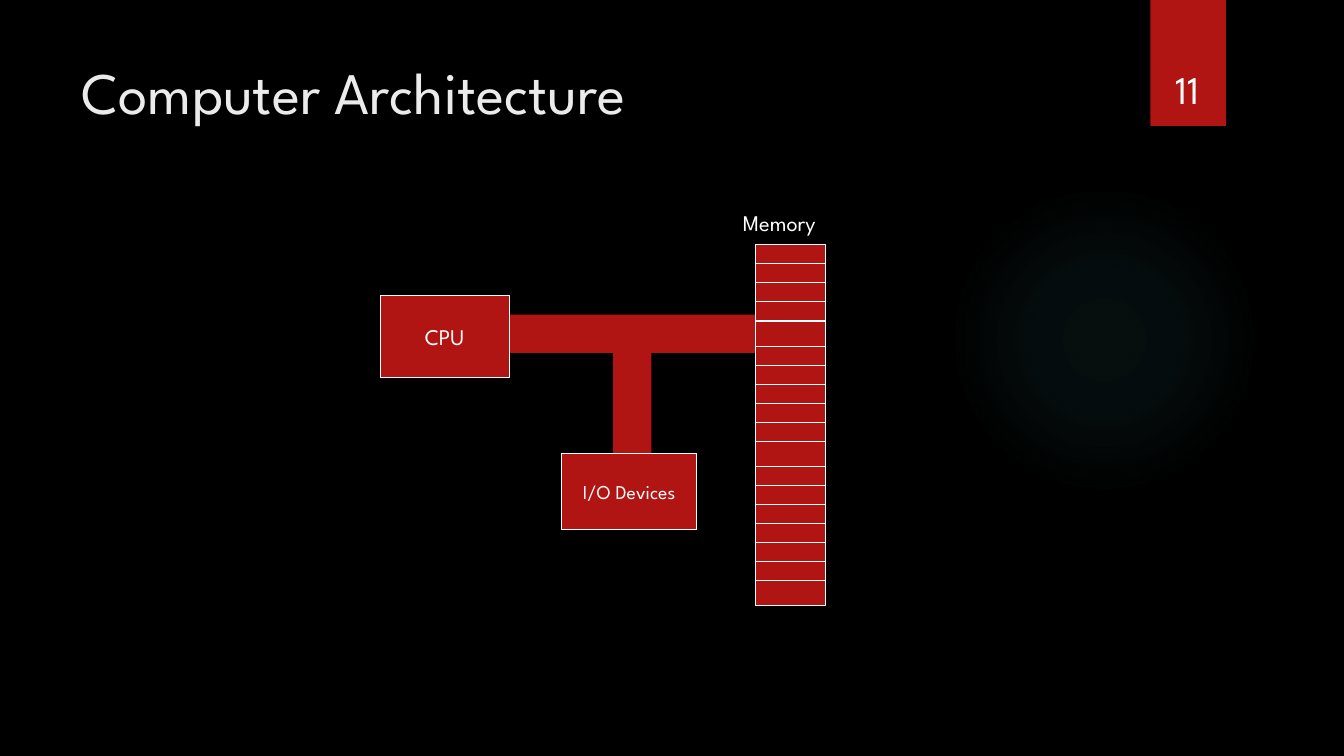
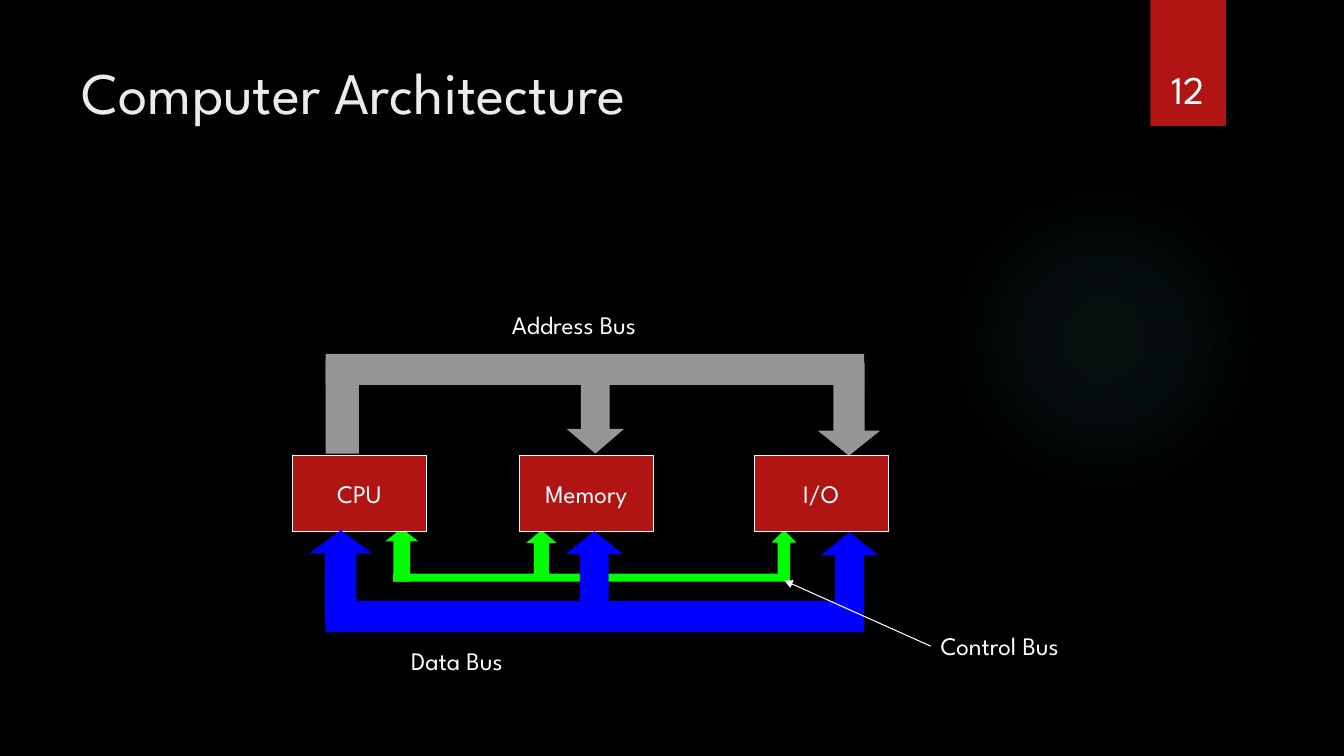
from dataclasses import dataclass
from itertools import accumulate

from pptx import Presentation
from pptx.dml.color import RGBColor
from pptx.enum.shapes import MSO_CONNECTOR, MSO_SHAPE
from pptx.enum.text import MSO_ANCHOR, PP_ALIGN
from pptx.oxml import parse_xml
from pptx.oxml.ns import nsdecls, qn
from pptx.util import Inches, Pt


@dataclass(frozen=True)
class Theme:
    font: str = "League Spartan"
    background: str = "000000"
    title: str = "EBEBEB"
    text: str = "FFFFFF"
    accent: str = "B01513"
    glow: str = "50B9C1"
    address: str = "969696"
    data: str = "0000FF"
    control: str = "00FF00"
    title_size: int = 42
    number_size: int = 28
    label_size: int = 18
    small_size: int = 16
    tiny_size: int = 14
    outline: float = 0.75


THEME = Theme()
LABEL = {"word_wrap": True, "vertical_anchor": MSO_ANCHOR.TOP}
BOXED = {"word_wrap": False, "vertical_anchor": MSO_ANCHOR.MIDDLE}
BADGE = {"word_wrap": True, "vertical_anchor": MSO_ANCHOR.BOTTOM}


def apply_format(target, values):
    for name, value in values.items():
        setattr(target, name, value)


def write(holder, text, size, frame=LABEL, color=THEME.text, align=PP_ALIGN.LEFT):
    apply_format(holder.text_frame, frame)
    paragraph = holder.text_frame.paragraphs[0]
    paragraph.alignment = align
    run = paragraph.add_run()
    apply_format(run, {"text": text})
    apply_format(run.font, {"name": THEME.font, "size": Pt(size)})
    run.font.color.rgb = RGBColor.from_string(color)


def add_label(slide, box, text, size=THEME.label_size, **style):
    label = slide.shapes.add_textbox(*map(Inches, box))
    write(label, text, size, **style)


def stroke(line):
    line.color.rgb = RGBColor.from_string(THEME.text)
    line.width = Pt(THEME.outline)


def add_block(shapes, box, color, kind=MSO_SHAPE.RECTANGLE, outlined=False):
    block = shapes.add_shape(kind, *map(Inches, box))
    block.shadow.inherit = False
    block.fill.solid()
    block.fill.fore_color.rgb = RGBColor.from_string(color)
    if outlined:
        stroke(block.line)
    else:
        block.line.fill.background()
    return block


def add_unit(shapes, box, text, size=THEME.label_size):
    """Outlined box that names one part of the computer."""
    unit = add_block(shapes, box, THEME.accent, outlined=True)
    write(unit, text, size, BOXED, align=PP_ALIGN.CENTER)


def add_line(shapes, start, end, arrow=False):
    line = shapes.add_connector(MSO_CONNECTOR.STRAIGHT, *map(Inches, start + end))
    stroke(line.line)
    if arrow:
        line.line._get_or_add_ln().append(
            parse_xml(f'<a:tailEnd {nsdecls("a")} type="triangle"/>'))
    line._element.spPr.append(parse_xml(f'<a:effectLst {nsdecls("a")}/>'))


def add_glow(slide, box):
    glow = add_block(slide.shapes, box, THEME.glow, MSO_SHAPE.OVAL)
    stops = "".join(
        f'<a:gs pos="{position * 1000}"><a:srgbClr val="{THEME.glow}">'
        f'<a:alpha val="{opacity * 1000}"/></a:srgbClr></a:gs>'
        for position, opacity in ((0, 7), (36, 6), (69, 0)))
    gradient = parse_xml(
        f'<a:gradFill {nsdecls("a")}><a:gsLst>{stops}</a:gsLst><a:path path="circle">'
        '<a:fillToRect l="50000" t="50000" r="50000" b="50000"/></a:path></a:gradFill>')
    properties = glow._element.spPr
    properties.replace(properties.find(qn("a:solidFill")), gradient)


def add_ribbon(slide, box):
    ribbon = add_block(slide.shapes, box, THEME.accent)
    ribbon._element.spPr.find(qn("a:effectLst")).append(parse_xml(
        f'<a:outerShdw {nsdecls("a")} blurRad="{Pt(3)}" dist="{Pt(2)}" dir="5400000">'
        '<a:srgbClr val="000000"><a:alpha val="45000"/></a:srgbClr></a:outerShdw>'))


def start_slide(deck, title, number):
    """Slide with the shared glow, ribbon, title and number."""
    slide = deck.slides.add_slide(deck.slide_layouts[6])
    add_glow(slide, (9.41, 1.83, 3.08, 3.08))
    add_ribbon(slide, (11.41, 0, 0.75, 1.25))
    add_label(slide, (0.71, 0.5, 10.29, 1.53), title, THEME.title_size, color=THEME.title)
    add_label(slide, (11.32, 0.32, 0.92, 0.84), str(number), THEME.number_size,
              frame=BADGE, align=PP_ALIGN.CENTER)
    return slide


def add_memory(shapes, box):
    """Column of cells: runs of 4, 5 and 6 small cells, each ended by a tall one."""
    left, top, width, height = box
    add_block(shapes, box, THEME.accent, outlined=True)
    runs, tall = (4, 5, 6), 0.25
    small = (height - tall * len(runs)) / sum(runs)
    cells = [cell for count in runs for cell in [small] * count + [tall]]
    for offset in accumulate(cells[:-1]):
        add_line(shapes, (left, top + offset), (left + width, top + offset))


def add_overview(slide, left, top):
    """CPU, devices and memory joined by one bus."""
    shapes = slide.shapes.add_group_shape().shapes
    # Bus
    add_block(shapes, (left + 1.16, top + 0.69, 2.62, 0.38), THEME.accent)
    add_block(shapes, (left + 2.31, top + 0.88, 0.38, 1.38), THEME.accent)
    # Units
    add_unit(shapes, (left, top + 0.5, 1.28, 0.82), "CPU", THEME.small_size)
    add_unit(shapes, (left + 1.8, top + 2.07, 1.34, 0.75), "I/O Devices", THEME.tiny_size)
    add_memory(shapes, (left + 3.72, top, 0.7, 3.58))
    add_label(slide, (left + 3.5, top - 0.4, 1.17, 0.37), "Memory", THEME.small_size)


def add_bus(slide, left, top, color, kind, bars, arrows):
    """Bars and arrows of one bus; each arrow ends with its head ratio."""
    shapes = slide.shapes.add_group_shape().shapes
    for x, y, width, height in bars:
        add_block(shapes, (left + x, top + y, width, height), color)
    for x, y, width, height, head in arrows:
        arrow = add_block(shapes, (left + x, top + y, width, height), color, kind)
        arrow.adjustments[0], arrow.adjustments[1] = 0.5, head


def add_bus_diagram(slide, left, top):
    """Three units with address, data and control buses."""
    # Control bus, behind the units
    add_bus(slide, left, top, THEME.control, MSO_SHAPE.UP_ARROW,
            [(1, 1.17, 3.92, 0.08)],
            [(0.92, 0.72, 0.33, 0.53, 0.4), (2.32, 0.74, 0.3, 0.5, 0.42),
             (4.75, 0.74, 0.25, 0.5, 0.5)])
    # Address bus
    add_bus(slide, left, top, THEME.address, MSO_SHAPE.DOWN_ARROW,
            [(0.33, -1.01, 5.34, 0.31), (0.33, -0.94, 0.33, 0.92)],
            [(5.21, -0.92, 0.62, 0.92, 0.4), (2.72, -0.94, 0.57, 0.92, 0.43)])
    # Units
    for x, name in ((0, "CPU"), (2.25, "Memory"), (4.58, "I/O")):
        add_unit(slide.shapes, (left + x, top, 1.33, 0.75), name)
    # Data bus, in front of the units
    add_bus(slide, left, top, THEME.data, MSO_SHAPE.UP_ARROW,
            [(0.33, 1.44, 5.34, 0.31)],
            [(0.17, 0.74, 0.62, 0.92, 0.37), (2.71, 0.75, 0.57, 0.93, 0.4),
             (5.24, 0.76, 0.57, 0.93, 0.4)])
    # Bus names
    for x, y, width, name in ((2.08, -1.5, 1.67, "Address Bus"),
                              (1.08, 1.83, 1.33, "Data Bus"),
                              (6.33, 1.68, 1.92, "Control Bus")):
        add_label(slide, (left + x, top + y, width, 0.4), name)
    add_line(slide.shapes, (left + 6.33, top + 1.89), (left + 4.88, top + 1.24), arrow=True)


def main():
    deck = Presentation()
    apply_format(deck, {"slide_width": Inches(13.33), "slide_height": Inches(7.5)})
    backdrop = deck.slide_master.background.fill
    backdrop.solid()
    backdrop.fore_color.rgb = RGBColor.from_string(THEME.background)

    diagrams = ((add_overview, 3.77, 2.43), (add_bus_diagram, 2.9, 4.52))
    for number, (add_diagram, left, top) in enumerate(diagrams, start=11):
        add_diagram(start_slide(deck, "Computer Architecture", number), left, top)
    deck.save("out.pptx")


if __name__ == "__main__":
    main()
